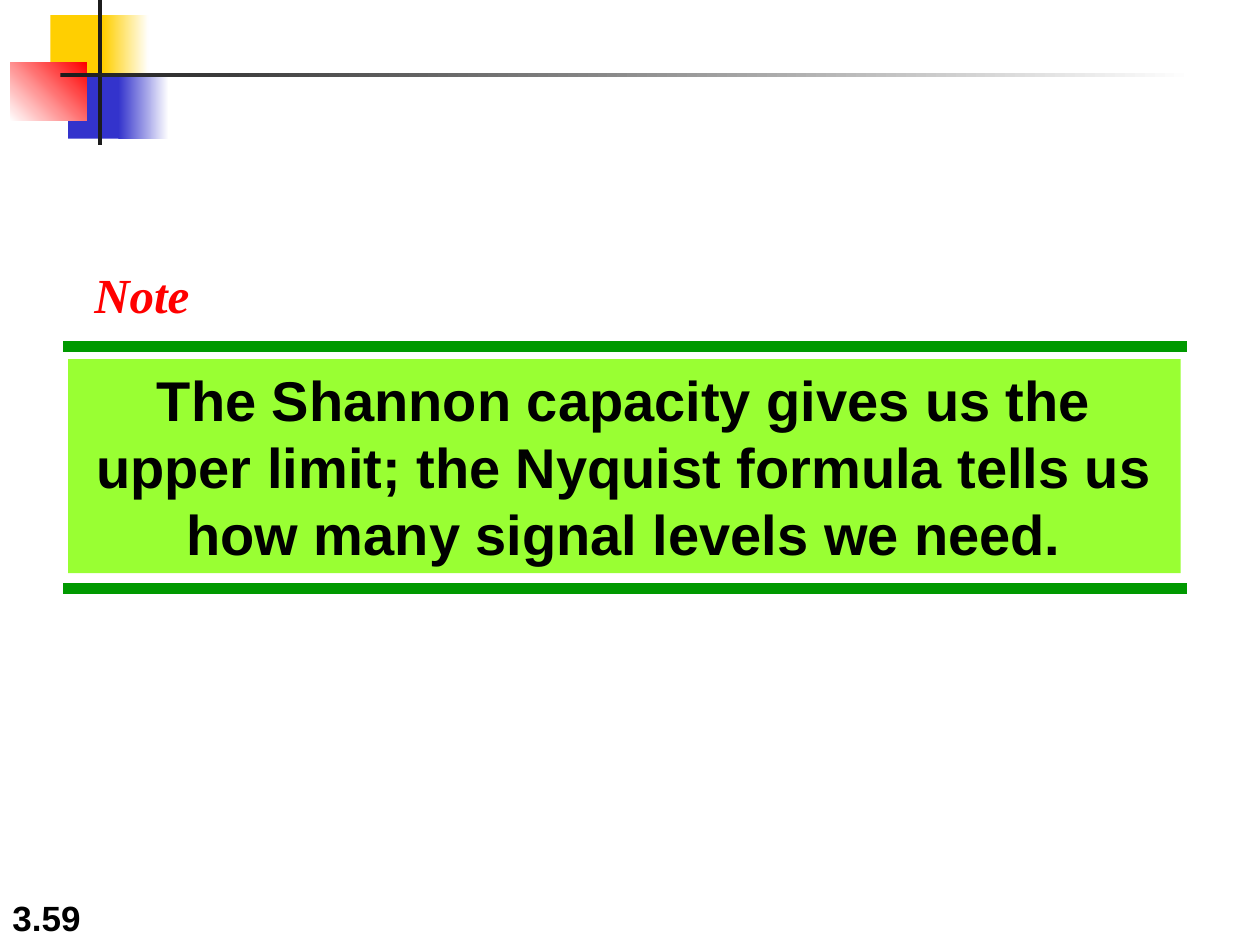
import pptx
import pptx.util
import pptx.dml.color
import pptx.enum.shapes
import pptx.enum.text
import pptx.oxml.ns
import lxml.etree

EMU_PER_PX = 9144  # 100 px to the inch
COLORS = {
    "yellow": "FFCF01", "blue": "3333CC", "red": "FF0000", "white": "FFFFFF",
    "charcoal": "1C1C1C", "green": "009900", "lime": "99FF33", "black": "000000",
}


def px(length):
    return pptx.util.Emu(length * EMU_PER_PX)


def rgb(name):
    return pptx.dml.color.RGBColor.from_string(COLORS[name])


class SlideBuilder:
    def __init__(self, slide, font_name="Arial"):
        self.slide = slide
        self.font_name = font_name

    def rectangle(self, left, top, width, height, color, end_color=None, angle=0):
        shape = self.slide.shapes.add_shape(
            pptx.enum.shapes.MSO_SHAPE.RECTANGLE,
            px(left), px(top), px(width), px(height))
        shape.shadow.inherit = False
        shape.line.fill.background()
        if end_color:
            shape.fill.gradient()
            shape.fill.gradient_angle = angle
            for stop, name in zip(shape.fill.gradient_stops, (color, end_color)):
                stop.color.rgb = rgb(name)
        else:
            shape.fill.solid()
            shape.fill.fore_color.rgb = rgb(color)
        return shape

    def rule(self, left, right, y, color, weight):
        line = self.slide.shapes.add_connector(
            pptx.enum.shapes.MSO_CONNECTOR.STRAIGHT,
            px(left), px(y), px(right), px(y))
        line.line.color.rgb = rgb(color)
        line.line.width = pptx.util.Pt(weight)
        lxml.etree.SubElement(line._element.spPr, pptx.oxml.ns.qn("a:effectLst"))

    def set_text(self, shape, text, size, color="black", font_name=None, italic=False,
                 align=pptx.enum.text.PP_ALIGN.LEFT,
                 anchor=pptx.enum.text.MSO_ANCHOR.TOP):
        frame = shape.text_frame
        frame.word_wrap = True
        frame.vertical_anchor = anchor
        paragraph = frame.paragraphs[0]
        paragraph.text = text
        paragraph.alignment = align
        font = paragraph.font
        font.name = font_name or self.font_name
        font.size = pptx.util.Pt(size)
        font.bold = True
        font.italic = italic
        font.color.rgb = rgb(color)

    def text(self, left, top, width, height, text, size, **style):
        box = self.slide.shapes.add_textbox(px(left), px(top), px(width), px(height))
        self.set_text(box, text, size, **style)


def main():
    presentation = pptx.Presentation()
    presentation.slide_width = px(1000)
    presentation.slide_height = px(750)
    builder = SlideBuilder(presentation.slides.add_slide(presentation.slide_layouts[6]))

    # Page number
    builder.text(0, 700, 208, 50, "3.59", 20, anchor=pptx.enum.text.MSO_ANCHOR.BOTTOM)

    # Corner ornament: fading squares crossed by two bars
    builder.rectangle(40, 12, 48, 52, "yellow")
    builder.rectangle(82, 12, 36, 52, "yellow", "white")
    builder.rectangle(54, 58, 46, 52, "blue")
    builder.rectangle(94, 58, 40, 52, "blue", "white")
    builder.rectangle(8, 50, 61, 46, "white", "red", angle=45)
    builder.rectangle(78, 0, 3, 115, "charcoal")
    builder.rectangle(48, 58, 900, 3, "charcoal", "white")

    # Note statement between two rules
    for y in (275, 467):
        builder.rule(50, 942, y, "green", 6)
    statement = builder.rectangle(54, 285, 883, 170, "lime")
    builder.set_text(
        statement,
        "The Shannon capacity gives us the upper limit; the Nyquist formula "
        "tells us how many signal levels we need.",
        32, align=pptx.enum.text.PP_ALIGN.CENTER)

    # Note heading
    builder.text(65, 205, 96, 57, "Note", 28, color="red",
                 font_name="Times New Roman", italic=True)

    presentation.save("out.pptx")


if __name__ == "__main__":
    main()
